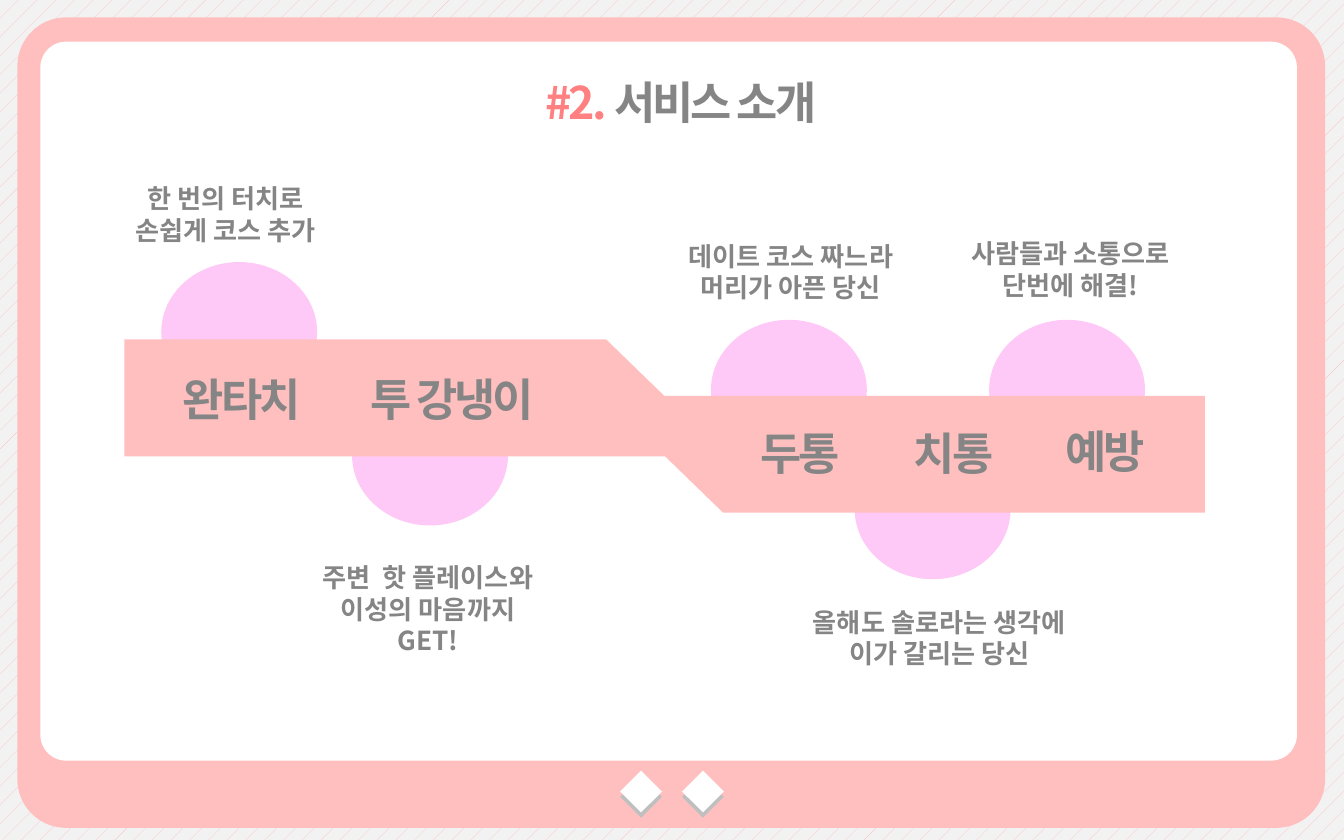
from dataclasses import dataclass

from lxml import etree
from pptx import Presentation
from pptx import util as u
from pptx.dml.color import RGBColor
from pptx.enum import dml, shapes, text
from pptx.oxml.ns import qn

PX = 9144


@dataclass(frozen=True)
class Theme:
    font: str = "Noto Sans CJK KR"
    pink: str = "FFBFBF"
    coral: str = "FF8080"
    lilac: str = "FFC9F7"
    white: str = "FFFFFF"
    backdrop: str = "F2F2F2"
    shade: str = "BFBFBF"
    ink: str = "858585"
    heading: int = 24
    body: int = 14
    tight: int = -150


THEME = Theme()
KIND = shapes.MSO_SHAPE


def px(*lengths):
    return [u.Emu(length * PX) for length in lengths]


def color(value):
    return RGBColor.from_string(value)


def add_block(parent, kind, box, fill, turn=0, corner=None):
    block = parent.shapes.add_shape(kind, *px(*box))
    block.shadow.inherit = False
    block.fill.solid()
    block.fill.fore_color.rgb = color(fill)
    block.line.fill.background()
    block.rotation = turn
    if corner is not None:
        block.adjustments[0] = corner
    return block


def add_text(parent, box, lines, size=THEME.body, spacing=None):
    frame = parent.shapes.add_textbox(*px(*box)).text_frame
    frame.word_wrap = True
    frame.auto_size = text.MSO_AUTO_SIZE.SHAPE_TO_FIT_TEXT
    for index, line in enumerate(lines):
        para = frame.paragraphs[0] if index == 0 else frame.add_paragraph()
        para.alignment = text.PP_ALIGN.CENTER
        pieces = [(line, THEME.ink)] if isinstance(line, str) else line
        for words, ink in pieces:
            span = para.add_run()
            span.text = words
            span.font.size = u.Pt(size)
            span.font.bold = True
            span.font.name = THEME.font
            span.font.color.rgb = color(ink)
            props = span._r.get_or_add_rPr()
            etree.SubElement(props, qn("a:ea"), typeface=THEME.font)
            if spacing is not None:
                props.set("spc", str(spacing))


def draw_backdrop(page):
    fill = page.background.fill
    fill.patterned()
    fill.pattern = dml.MSO_PATTERN.PERCENT_5
    fill.fore_color.rgb = color(THEME.pink)
    fill.back_color.rgb = color(THEME.backdrop)


def draw_frame(page, box):
    left, top, width, height = box
    add_block(page, KIND.ROUNDED_RECTANGLE, box, THEME.pink, corner=0.06)
    screen = (left + 17, top + 18, width - 38, height - 68)
    add_block(page, KIND.ROUNDED_RECTANGLE, screen, THEME.white, corner=0.036)


def draw_title(page, box):
    line = [("#2. ", THEME.coral), ("서비스 소개", THEME.ink)]
    add_text(page, box, [line], size=THEME.heading, spacing=THEME.tight)


def draw_buttons(page, box):
    left, top, width, height = box
    side = 22
    group = page.shapes.add_group_shape()
    for drop, fill in ((height - side, THEME.shade), (0, THEME.white)):
        for shift in (0, width - side):
            place = (left + shift, top + drop, side, side)
            add_block(group, KIND.RECTANGLE, place, fill, turn=45)


def draw_band(page, box, turn, topics):
    left, top, width, height = box

    def place(x, y, *size):
        return (left + x, top + y, *size)

    for topic in topics:
        add_block(page, KIND.OVAL, place(*topic["bubble"], 116, 104), THEME.lilac)

    group = page.shapes.add_group_shape()
    inset = (width - height) // 2
    upright = place(inset, -inset, height, width)
    add_block(group, KIND.FLOWCHART_MANUAL_INPUT, upright, THEME.pink, turn=turn)
    for topic in topics:
        add_text(group, place(*topic["label"], 50), [topic["word"]],
                 size=THEME.heading, spacing=THEME.tight)

    for topic in topics:
        lines = topic["lines"]
        caption = place(*topic["caption"], 9 + 24 * len(lines))
        add_text(page, caption, lines)


LEFT_TOPICS = [
    dict(word="완타치", label=(29, 20, 116), bubble=(27, -57),
         caption=(-10, -121, 170), lines=["한 번의 터치로", "손쉽게 코스 추가"]),
    dict(word="투 강냉이", label=(165, 20, 157), bubble=(169, 35),
         caption=(125, 161, 201),
         lines=["주변  핫 플레이스와", "이성의 마음까지", "GET!"]),
]
RIGHT_TOPICS = [
    dict(word="두통", label=(85, 18, 123), bubble=(80, -56),
         caption=(45, -120, 189), lines=["데이트 코스 짜느라", "머리가 아픈 당신"]),
    dict(word="치통", label=(199, 18, 123), bubble=(187, 33),
         caption=(135, 152, 230), lines=["올해도 솔로라는 생각에", "이가 갈리는 당신"]),
    dict(word="예방", label=(312, 16, 123), bubble=(287, -56),
         caption=(253, -122, 189), lines=["사람들과 소통으로", "단번에 해결!"]),
]


def main():
    deck = Presentation()
    deck.slide_width, deck.slide_height = px(1000, 625)
    page = deck.slides.add_slide(deck.slide_layouts[6])
    draw_backdrop(page)
    draw_frame(page, (13, 13, 973, 603))
    draw_title(page, (141, 51, 731, 50))
    draw_buttons(page, (466, 578, 68, 26))
    draw_band(page, (93, 252, 448, 87), 90, LEFT_TOPICS)
    draw_band(page, (449, 294, 448, 87), 270, RIGHT_TOPICS)
    deck.save("out.pptx")


if __name__ == "__main__":
    main()
